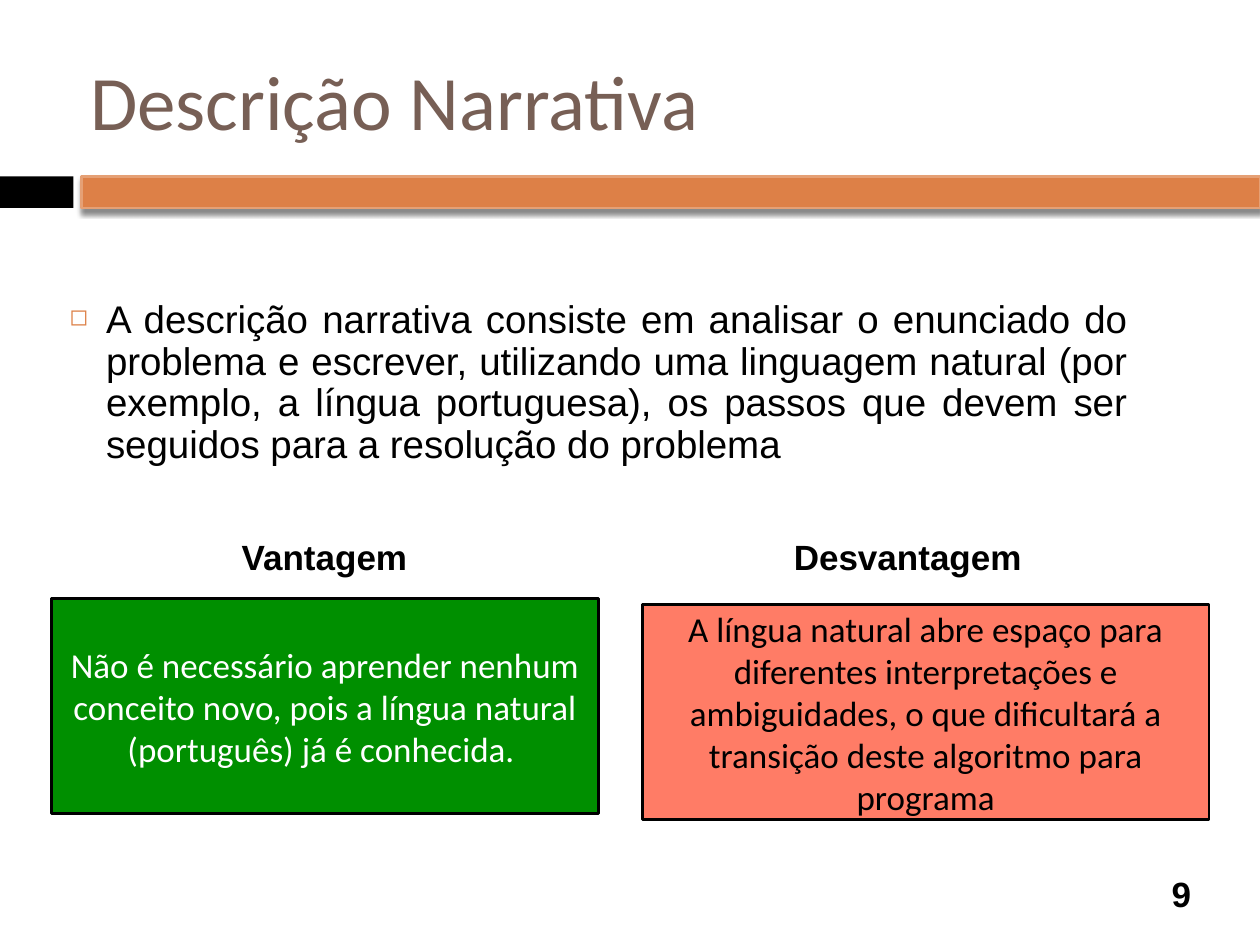
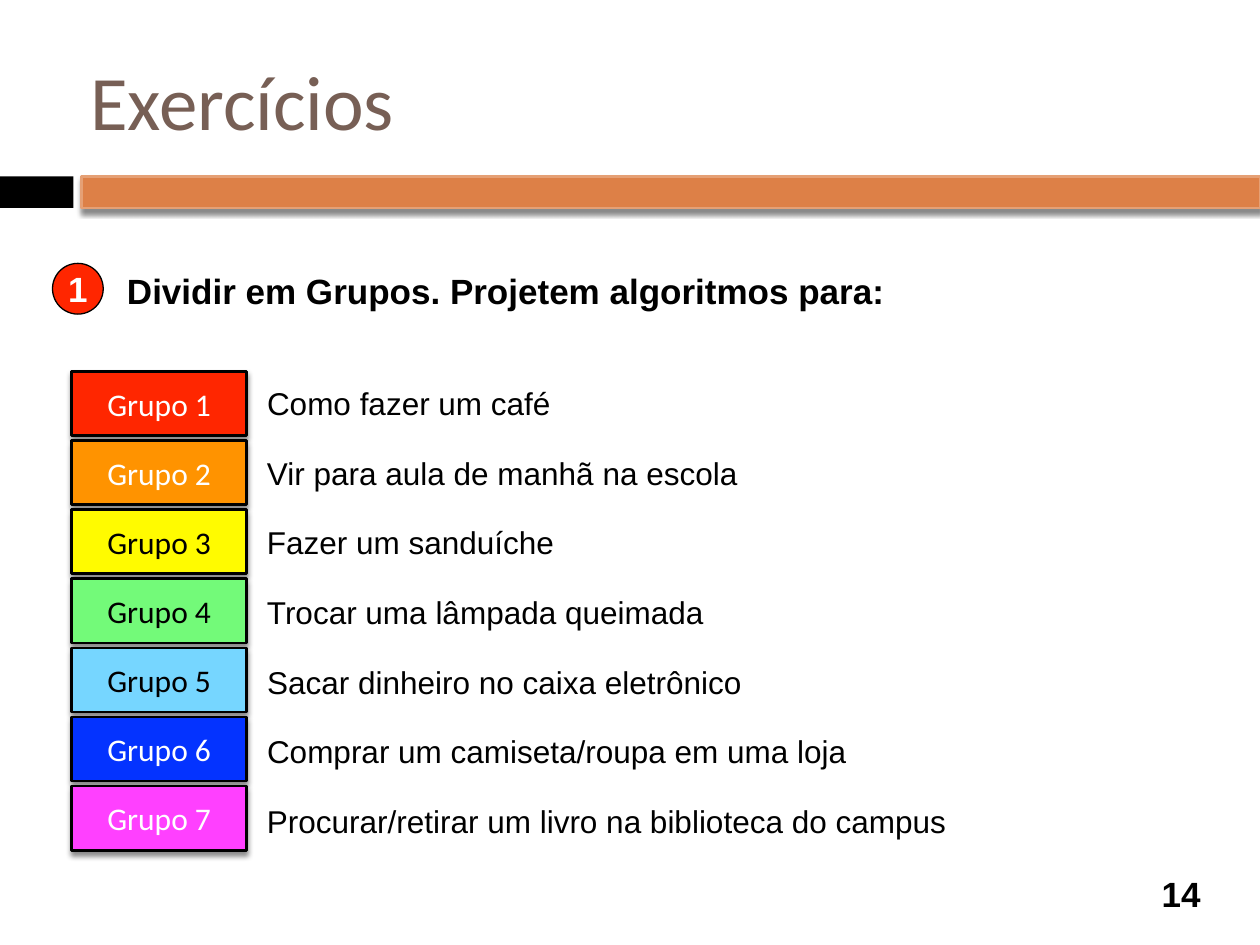
"""Build two slides on narrative description of algorithms and group exercises."""
from lxml import etree
from pptx import Presentation
from pptx.dml.color import RGBColor
from pptx.enum.shapes import MSO_SHAPE
from pptx.enum.text import MSO_ANCHOR, MSO_AUTO_SIZE, PP_ALIGN
from pptx.oxml import parse_xml
from pptx.oxml.ns import nsdecls, qn
from pptx.util import Pt

RECT, OVAL = MSO_SHAPE.RECTANGLE, MSO_SHAPE.OVAL
TOP, MIDDLE = MSO_ANCHOR.TOP, MSO_ANCHOR.MIDDLE
LEFT, CENTER, JUSTIFY = PP_ALIGN.LEFT, PP_ALIGN.CENTER, PP_ALIGN.JUSTIFY
GROW = MSO_AUTO_SIZE.SHAPE_TO_FIT_TEXT
BLACK, WHITE, RED = "000000", "FFFFFF", "FF2600"
ORANGE, ORANGE_EDGE, BROWN = "DD8047", "E5A075", "775F55"
SHADOW = (
    f'<a:effectLst {nsdecls("a")}><a:outerShdw blurRad="38100" dist="30480" '
    'dir="5400000" rotWithShape="0"><a:srgbClr val="000000"><a:alpha val="45000"/>'
    '</a:srgbClr></a:outerShdw></a:effectLst>'
)


def add_box(s, kind, at, fill, line=None, weight=1.5, shadow=False):
    sp = s.shapes.add_shape(kind, *map(Pt, at))
    sp.fill.solid()
    sp.fill.fore_color.rgb = RGBColor.from_string(fill)
    if line:
        sp.line.color.rgb = RGBColor.from_string(line)
        sp.line.width = Pt(weight)
    else:
        sp.line.fill.background()
    sp.shadow.inherit = False
    if shadow:
        spPr = sp.fill._xPr
        spPr.replace(spPr.find(qn("a:effectLst")), parse_xml(SHADOW))
    return sp


def write(sp, text, size, font="Arial", color=BLACK, bold=False, align=LEFT,
          anchor=TOP, wrap=True):
    tf = sp.text_frame
    tf.margin_left = tf.margin_right = tf.margin_top = tf.margin_bottom = Pt(3.6)
    tf.word_wrap = wrap
    tf.vertical_anchor = anchor
    tf.text = text
    p = tf.paragraphs[0]
    p.alignment = align
    p.font.size = Pt(size)
    p.font.name = font
    p.font.bold = bold
    p.font.color.rgb = RGBColor.from_string(color)
    return p


prs = Presentation()
prs.slide_width, prs.slide_height = Pt(720), Pt(540)

slides = []
for title, number in [("Descrição Narrativa", "9"), ("Exercícios", "14")]:
    s = prs.slides.add_slide(prs.slide_layouts[5])
    add_box(s, RECT, (0, 100.8, 42, 18), BLACK)
    add_box(s, RECT, (46.5, 100.8, 673.5, 18), ORANGE, ORANGE_EDGE, shadow=True)
    sp = s.shapes.title
    sp.left, sp.top, sp.width, sp.height = Pt(48), Pt(18), Pt(642), Pt(78)
    write(sp, title, 44, "Calibri", BROWN, anchor=MIDDLE)
    sp = s.shapes.add_textbox(Pt(654), Pt(496), Pt(42), Pt(29.5))
    write(sp, number, 20, bold=True, align=CENTER, anchor=MIDDLE)
    slides.append(s)

s = slides[0]
sides = [
    ("Vantagem", (134.5, 102), (29.5, 342, 312.5, 123), "008F00", WHITE,
     "Não é necessário aprender nenhum conceito novo, pois a língua natural "
     "(português) já é conhecida. "),
    ("Desvantagem", (450, 138), (367, 345.5, 324, 123), RED, BLACK,
     "A língua natural abre espaço para diferentes interpretações e ambiguidades, "
     "o que dificultará a transição deste algoritmo para programa"),
]
for heading, (x, width), at, fill, color, text in sides:
    sp = s.shapes.add_textbox(Pt(x), Pt(302.5), Pt(width), Pt(29.5))
    write(sp, heading, 20, bold=True, wrap=False)
    sp.text_frame.auto_size = GROW
    sp = add_box(s, RECT, at, fill, BLACK)
    write(sp, text, 20, "Calibri", color, align=CENTER, anchor=MIDDLE)
color_node = sp.fill._xPr.find(qn("a:solidFill"))[0]
etree.SubElement(color_node, qn("a:alpha")).set("val", "60000")

sp = s.shapes.add_textbox(Pt(36), Pt(168), Pt(612), Pt(120))
p = write(sp, "A descrição narrativa consiste em analisar o enunciado do problema e "
          "escrever, utilizando uma linguagem natural (por exemplo, a língua "
          "portuguesa), os passos que devem ser seguidos para a resolução do problema",
          22, align=JUSTIFY)
p.line_spacing = 0.9
pPr = p._p.get_or_add_pPr()
pPr.set("marL", str(Pt(21)))
pPr.set("indent", str(-Pt(21)))
bullet = [
    f'<a:buClr {nsdecls("a")}><a:srgbClr val="{ORANGE}"/></a:buClr>',
    f'<a:buSzPct {nsdecls("a")} val="60000"/>',
    f'<a:buChar {nsdecls("a")} char="◻"/>',
]
for i, xml in enumerate(bullet, 1):
    pPr.insert(i, parse_xml(xml))

s = slides[1]
sp = add_box(s, OVAL, (30, 150.5, 29, 29), RED, BLACK, 0.75)
write(sp, "1", 20, color=WHITE, bold=True, align=CENTER, anchor=MIDDLE, wrap=False)
sp = s.shapes.add_textbox(Pt(69), Pt(150.5), Pt(440.5), Pt(29.5))
write(sp, "Dividir em Grupos. Projetem algoritmos para:", 20, bold=True, wrap=False)
sp.text_frame.auto_size = GROW

groups = [
    (RED, WHITE, 170, "Como fazer um café"),
    ("FF9300", WHITE, 277, "Vir para aula de manhã na escola"),
    ("FFFB00", BLACK, 172, "Fazer um sanduíche"),
    ("73FA79", BLACK, 258, "Trocar uma lâmpada queimada"),
    ("76D6FF", BLACK, 279, "Sacar dinheiro no caixa eletrônico"),
    ("0433FF", WHITE, 339, "Comprar um camiseta/roupa em uma loja"),
    ("FF40FF", WHITE, 396, "Procurar/retirar um livro na biblioteca do campus"),
]
for i, (fill, color, width, task) in enumerate(groups):
    sp = add_box(s, RECT, (41, 212.2 + 39.5 * i, 100, 36.7), fill, BLACK, shadow=True)
    write(sp, f"Grupo {i + 1}", 18, "Calibri", color, align=CENTER, anchor=MIDDLE)
    sp = s.shapes.add_textbox(Pt(149), Pt(216 + 39.8 * i), Pt(width), Pt(27.5))
    write(sp, task, 18, wrap=False)
    sp.text_frame.auto_size = GROW

prs.save("out.pptx")
